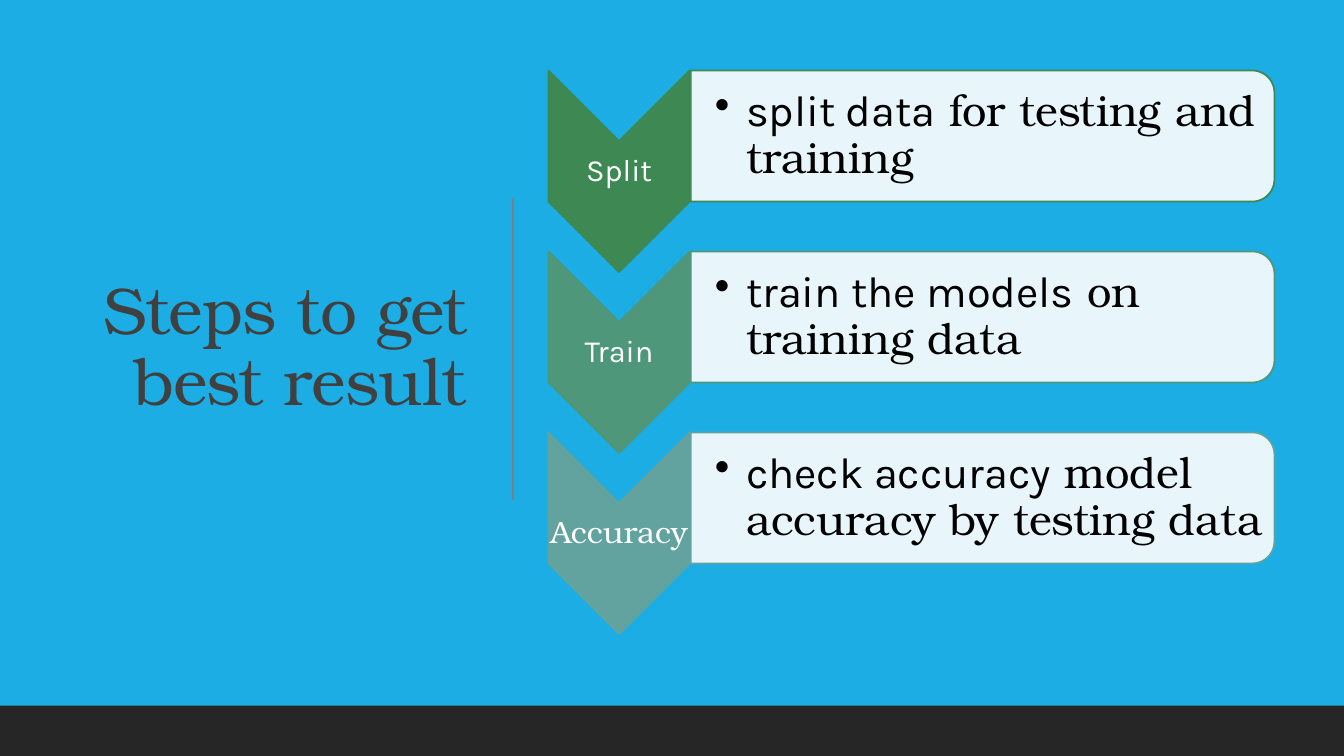
import math
import pptx
import pptx.util
import pptx.dml.color
import pptx.enum.shapes
import pptx.enum.text
import pptx.oxml
import pptx.oxml.ns
import lxml.etree

Inches, Pt = pptx.util.Inches, pptx.util.Pt
RGBColor = pptx.dml.color.RGBColor
ALIGN = pptx.enum.text.PP_ALIGN
qn = pptx.oxml.ns.qn

SKY = RGBColor(0x1C, 0xAD, 0xE4)
CHARCOAL = RGBColor(0x26, 0x26, 0x26)
TITLE_GREY = RGBColor(0x40, 0x40, 0x40)
RULE_GREY = RGBColor(0x7F, 0x7F, 0x7F)
WHITE = RGBColor(0xFF, 0xFF, 0xFF)
BLACK = RGBColor(0, 0, 0)
SANS, SERIF = "Karla", "TeX Gyre Bonum"

STEPS = [
    ("Split", SANS, RGBColor(0x3E, 0x88, 0x53),
     "split data", " for testing and training"),
    ("Train", SANS, RGBColor(0x4E, 0x97, 0x7B),
     "train the models", " on training data"),
    ("Accuracy", SERIF, RGBColor(0x62, 0xA3, 0x9F),
     "check accuracy", " model accuracy by testing data"),
]


def add_span(para, text, font, size, color):
    span = para.add_run()
    span.text = text
    span.font.name = font
    span.font.size = Pt(size)
    span.font.color.rgb = color
    return span


def add_outline(slide, points, fill, line, insets):
    corners = [(Inches(x), Inches(y)) for x, y in points]
    builder = slide.shapes.build_freeform(*corners[0], scale=1.0)
    builder.add_line_segments(corners[1:], close=True)
    shape = builder.convert_to_shape()
    shape.shadow.inherit = False
    shape.fill.solid()
    shape.fill.fore_color.rgb = fill
    shape.line.color.rgb = line
    shape.line.width = Pt(1.25)
    frame = shape.text_frame
    frame.vertical_anchor = pptx.enum.text.MSO_ANCHOR.MIDDLE
    (frame.margin_left, frame.margin_top,
     frame.margin_right, frame.margin_bottom) = [Inches(inset) for inset in insets]
    return shape


deck = pptx.Presentation()
deck.slide_width, deck.slide_height = Inches(13.33), Inches(7.5)
page = deck.slides.add_slide(deck.slide_layouts[5])
page.background.fill.solid()
page.background.fill.fore_color.rgb = SKY

# Title
title = page.shapes.title
title.left, title.top = Inches(0.7), Inches(0.69)
title.width, title.height = Inches(4.03), Inches(5.53)
title.text_frame.word_wrap = True
title.text_frame.auto_size = pptx.enum.text.MSO_AUTO_SIZE.NONE
title.text_frame.vertical_anchor = pptx.enum.text.MSO_ANCHOR.MIDDLE
para = title.text_frame.paragraphs[0]
para.alignment = ALIGN.RIGHT
para.line_spacing = 0.9
span = add_span(para, "Steps to get best result", SERIF, 47, TITLE_GREY)
span.font._element.set("spc", "-50")

# Divider
divider = page.shapes.add_connector(
    pptx.enum.shapes.MSO_CONNECTOR.STRAIGHT,
    Inches(5.09), Inches(1.96), Inches(5.09), Inches(4.96))
divider.line.color.rgb = RULE_GREY
divider.line.width = Pt(1)
lxml.etree.SubElement(divider._element.spPr, qn("a:effectLst"))

# Footer band
band = page.shapes.add_shape(
    pptx.enum.shapes.MSO_SHAPE.RECTANGLE,
    0, Inches(7), deck.slide_width, Inches(0.5))
band.shadow.inherit = False
band.fill.solid()
band.fill.fore_color.rgb = CHARCOAL
band.line.fill.background()

# Steps: a downward chevron and a card with rounded right corners
LEFT, MIDDLE, RIGHT = 5.44, 6.14, 6.84
CARD_LEFT, CARD_RIGHT, RADIUS = 6.85, 12.64, 0.22
HEIGHT, POINT, PITCH = 1.3, 0.7, 1.795
ANGLES = [math.radians(degrees) for degrees in range(0, 91, 6)]

for row, (label, label_font, color, lead, rest) in enumerate(STEPS):
    top = 0.7 + row * PITCH
    bottom = top + HEIGHT

    chevron = add_outline(
        page,
        [(RIGHT, top), (RIGHT, bottom), (MIDDLE, bottom + POINT),
         (LEFT, bottom), (LEFT, top), (MIDDLE, top + POINT)],
        color, color, (0.02, 0.72, 0.02, 0.72))
    chevron.text_frame.word_wrap = False
    para = chevron.text_frame.paragraphs[0]
    para.alignment = ALIGN.CENTER
    para.line_spacing = 0.9
    para.space_after = Pt(9)
    add_span(para, label, label_font, 22, WHITE)

    center = CARD_RIGHT - RADIUS
    upper_arc = [(center + RADIUS * math.sin(angle),
                  top + RADIUS - RADIUS * math.cos(angle)) for angle in ANGLES]
    lower_arc = [(x, top + bottom - y) for x, y in reversed(upper_arc)]
    card = add_outline(
        page,
        [(CARD_LEFT, top), *upper_arc, *lower_arc, (CARD_LEFT, bottom)],
        WHITE, color, (0.24, 0.09, 0.09, 0.09))
    white_fill = card._element.spPr.find(qn("a:solidFill"))[0]
    lxml.etree.SubElement(white_fill, qn("a:alpha"), val="90000")
    card.text_frame.word_wrap = True
    para = card.text_frame.paragraphs[0]
    props = para._p.get_or_add_pPr()
    props.set("marL", str(Inches(0.31)))
    props.set("indent", str(-Inches(0.31)))
    bullet_color = lxml.etree.SubElement(props, qn("a:buClr"))
    lxml.etree.SubElement(bullet_color, qn("a:srgbClr"), val=str(BLACK))
    lxml.etree.SubElement(props, qn("a:buChar"), char="•")
    para.alignment = ALIGN.LEFT
    para.line_spacing = 0.9
    para.space_after = Pt(6)
    add_span(para, lead, SANS, 31, BLACK)
    add_span(para, rest, SERIF, 31, BLACK)

deck.save("out.pptx")
